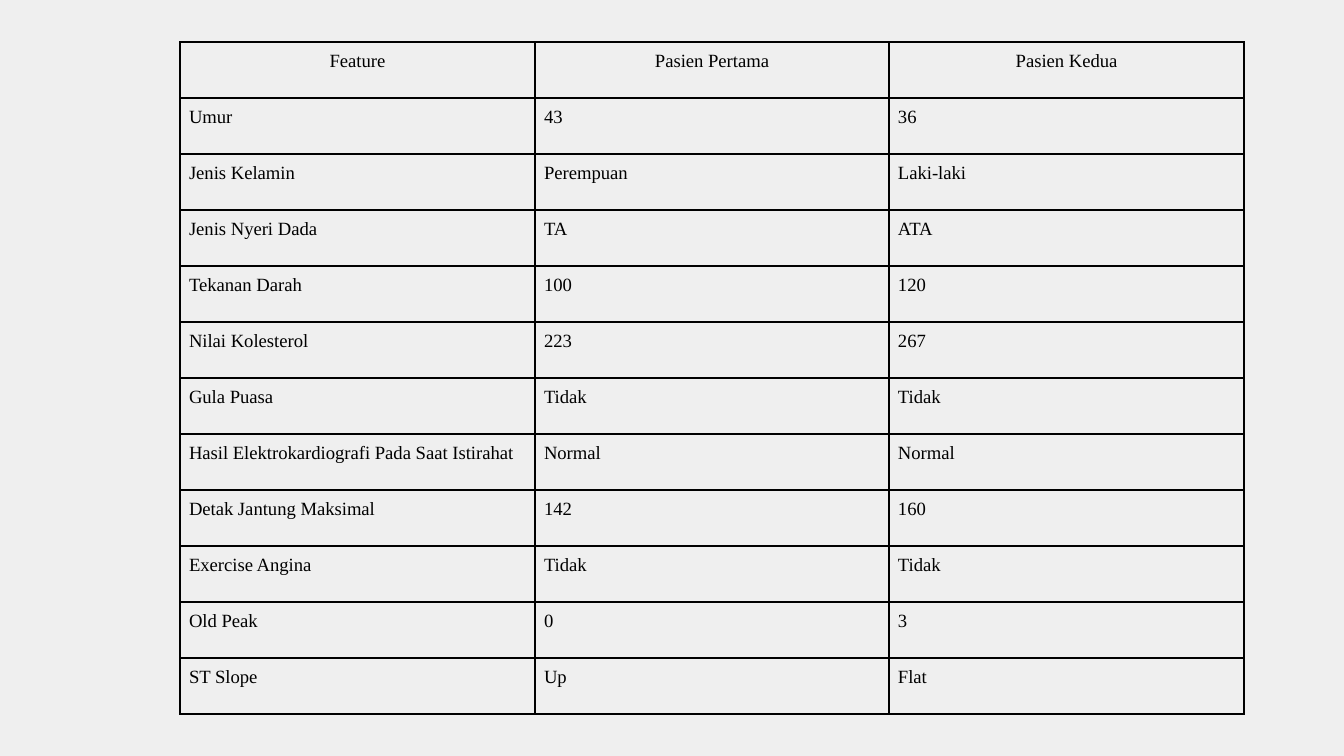
import dataclasses

import lxml.etree
import pptx
import pptx.dml.color
import pptx.enum.text
import pptx.oxml.ns
import pptx.slide
import pptx.table
import pptx.util

EMU_PER_PIXEL = 914400 / 134.4
BACKGROUND = pptx.dml.color.RGBColor(0xEF, 0xEF, 0xEF)
BLACK = pptx.dml.color.RGBColor(0x00, 0x00, 0x00)
FONT_NAME = "Times New Roman"
FONT_SIZE = pptx.util.Pt(10)
BORDER_WIDTH = pptx.util.Pt(1)
TABLE_LEFT, TABLE_TOP = 180, 42
COLUMN_WIDTHS = (355, 354, 355)
ROW_HEIGHT = 56
CELL_MARGIN = 9


@dataclasses.dataclass(frozen=True)
class PatientRow:
    feature: str
    first_patient: str
    second_patient: str


HEADER = PatientRow("Feature", "Pasien Pertama", "Pasien Kedua")
PATIENT_ROWS = (
    PatientRow("Umur", "43", "36"),
    PatientRow("Jenis Kelamin", "Perempuan", "Laki-laki"),
    PatientRow("Jenis Nyeri Dada", "TA", "ATA"),
    PatientRow("Tekanan Darah", "100", "120"),
    PatientRow("Nilai Kolesterol", "223", "267"),
    PatientRow("Gula Puasa", "Tidak", "Tidak"),
    PatientRow("Hasil Elektrokardiografi Pada Saat Istirahat", "Normal", "Normal"),
    PatientRow("Detak Jantung Maksimal", "142", "160"),
    PatientRow("Exercise Angina", "Tidak", "Tidak"),
    PatientRow("Old Peak", "0", "3"),
    PatientRow("ST Slope", "Up", "Flat"),
)


def pixels(length: int) -> pptx.util.Emu:
    return pptx.util.Emu(round(length * EMU_PER_PIXEL))


def add_borders(cell: pptx.table._Cell) -> None:
    qualified = pptx.oxml.ns.qn
    properties = cell._tc.get_or_add_tcPr()
    for side in ("a:lnL", "a:lnR", "a:lnT", "a:lnB"):
        line = lxml.etree.SubElement(properties, qualified(side), w=str(BORDER_WIDTH))
        fill = lxml.etree.SubElement(line, qualified("a:solidFill"))
        lxml.etree.SubElement(fill, qualified("a:srgbClr"), val=str(BLACK))


def fill_cell(cell: pptx.table._Cell, text: str, alignment: pptx.enum.text.PP_ALIGN) -> None:
    add_borders(cell)
    cell.fill.background()
    cell.margin_left = cell.margin_right = pixels(CELL_MARGIN)
    cell.margin_top = cell.margin_bottom = pixels(CELL_MARGIN)
    cell.vertical_anchor = pptx.enum.text.MSO_ANCHOR.TOP
    paragraph = cell.text_frame.paragraphs[0]
    paragraph.alignment = alignment
    run = paragraph.add_run()
    run.text = text
    run.font.name = FONT_NAME
    run.font.size = FONT_SIZE
    run.font.bold = False
    run.font.color.rgb = BLACK


def add_patient_table(slide: pptx.slide.Slide) -> None:
    rows = (HEADER, *PATIENT_ROWS)
    table = slide.shapes.add_table(
        len(rows), len(COLUMN_WIDTHS), pixels(TABLE_LEFT), pixels(TABLE_TOP),
        pixels(sum(COLUMN_WIDTHS)), pixels(ROW_HEIGHT * len(rows)),
    ).table
    table.horz_banding = False
    for column, width in zip(table.columns, COLUMN_WIDTHS):
        column.width = pixels(width)
    for table_row, patient_row in zip(table.rows, rows):
        table_row.height = pixels(ROW_HEIGHT)
        alignment = (
            pptx.enum.text.PP_ALIGN.CENTER
            if patient_row is HEADER
            else pptx.enum.text.PP_ALIGN.LEFT
        )
        for cell, text in zip(table_row.cells, dataclasses.astuple(patient_row)):
            fill_cell(cell, text, alignment)


def main() -> None:
    presentation = pptx.Presentation()
    presentation.slide_width = pixels(1344)
    presentation.slide_height = pixels(756)
    slide = presentation.slides.add_slide(presentation.slide_layouts[6])
    slide.background.fill.solid()
    slide.background.fill.fore_color.rgb = BACKGROUND
    add_patient_table(slide)
    presentation.save("out.pptx")


main()
